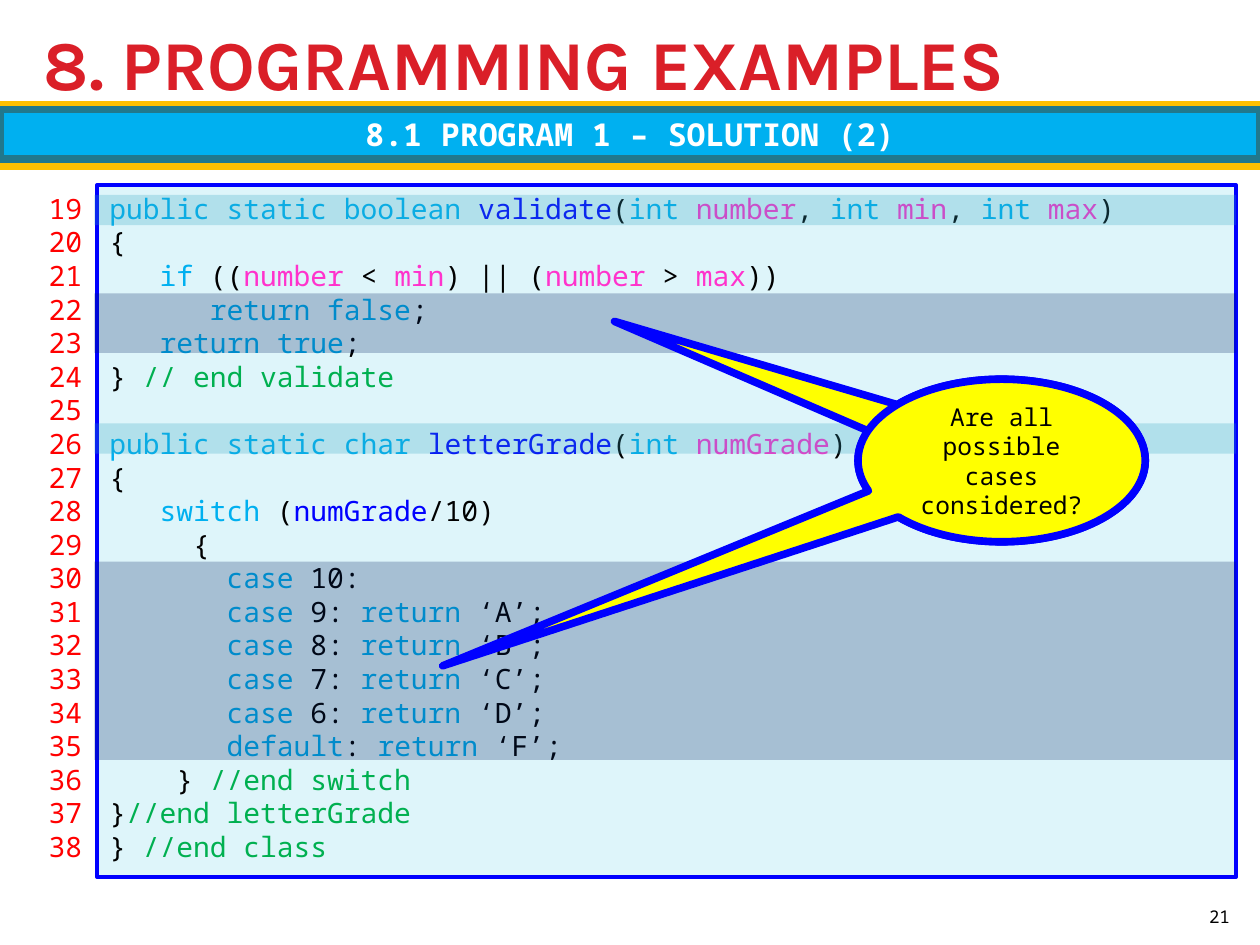
from dataclasses import dataclass
from itertools import groupby

from lxml import etree
from pptx import Presentation
from pptx.dml.color import RGBColor
from pptx.enum.shapes import MSO_CONNECTOR, MSO_SHAPE
from pptx.enum.text import MSO_ANCHOR, PP_ALIGN
from pptx.oxml.ns import qn
from pptx.util import Inches, Pt

RECT, CALLOUT = MSO_SHAPE.RECTANGLE, MSO_SHAPE.OVAL_CALLOUT
STRAIGHT = MSO_CONNECTOR.STRAIGHT
TOP, MIDDLE, BOTTOM = MSO_ANCHOR.TOP, MSO_ANCHOR.MIDDLE, MSO_ANCHOR.BOTTOM
LEFT, CENTER, RIGHT = PP_ALIGN.LEFT, PP_ALIGN.CENTER, PP_ALIGN.RIGHT


@dataclass(frozen=True)
class Theme:
    title_font: str = "Karla"
    mono: str = "Noto Sans Mono"
    title_size: float = 40
    banner_size: float = 18
    code_size: float = 16
    callout_size: float = 14
    page_size: float = 10
    leading: float = 1.2
    title: str = "DA1F28"
    rule: str = "FFC000"
    banner: str = "00B0F0"
    banner_edge: str = "21788D"
    panel: str = "DEF5FA"
    edge: str = "0000FF"
    line_number: str = "FF0000"
    signature_band: str = "2DA2BF"
    return_band: str = "002060"
    callout: str = "FFFF00"
    plain: str = "000000"
    white: str = "FFFFFF"
    keyword: str = "00B0F0"
    name: str = "0000FF"
    parameter: str = "FF33CC"
    comment: str = "00B050"


THEME = Theme()
ROW = THEME.code_size * THEME.leading / 72  # height of a code line, inches
INSET = 0.05

FIRST_LINE = 19
CODE = """\
public static boolean validate(int number, int min, int max)
{
   if ((number < min) || (number > max))
      return false;
   return true;
} // end validate

public static char letterGrade(int numGrade)
{
   switch (numGrade/10)
     {
       case 10:
       case 9: return ‘A’;
       case 8: return ‘B’;
       case 7: return ‘C’;
       case 6: return ‘D’;
       default: return ‘F’;
    } //end switch
}//end letterGrade
} //end class""".split("\n")
WORD_COLORS = {
    **dict.fromkeys("public static boolean char int if return true false "
                    "switch case default".split(), THEME.keyword),
    **dict.fromkeys(["validate", "letterGrade"], THEME.name),
    **dict.fromkeys(["number", "min", "max", "numGrade"], THEME.parameter),
}
# Highlights over the code: first row, rows covered, colour
BANDS = [(0.1, 0.9, THEME.signature_band), (6.9, 0.9, THEME.signature_band),
         (3.03, 1.77, THEME.return_band), (11.02, 5.9, THEME.return_band)]
QUESTION = "Are all possible cases considered?"
POINTERS = [(-1.348, -0.856), (-1.946, 1.263)]


def rgb(value):
    return RGBColor.from_string(value)


def add_box(slide, box, fill, line=None, width=0, kind=RECT):
    shape = slide.shapes.add_shape(kind, *map(Inches, box))
    shape.shadow.inherit = False
    shape.fill.solid()
    shape.fill.fore_color.rgb = rgb(fill)
    if line:
        shape.line.color.rgb = rgb(line)
        shape.line.width = Pt(width)
    else:
        shape.line.fill.background()
    return shape


def write(shape, lines, size, font=THEME.mono, bold=False, align=LEFT,
          anchor=MIDDLE, leading=None):
    """Write lines, each a list of (text, colour) runs."""
    frame = shape.text_frame
    for key, value in {"word_wrap": True, "vertical_anchor": anchor}.items():
        setattr(frame, key, value)
    for number, runs in enumerate(lines):
        paragraph = frame.add_paragraph() if number else frame.paragraphs[0]
        paragraph.alignment = align
        if leading:
            paragraph.line_spacing = Pt(size * leading)
        paragraph.font.size = Pt(size)
        for text, color in runs:
            run = paragraph.add_run()
            run.text = text
            style = {"name": font, "size": Pt(size), "bold": bold}
            for key, value in style.items():
                setattr(run.font, key, value)
            run.font.color.rgb = rgb(color)


def add_text(slide, box, *args, **kwargs):
    write(slide.shapes.add_textbox(*map(Inches, box)), *args, **kwargs)


def color_code(line):
    """Split a code line into coloured runs; a space joins the run before it."""
    code, slashes, remark = line.partition("//")
    tokens, color = [], THEME.plain
    for _, group in groupby(code, lambda c: (c.isalnum(), c.isspace())):
        token = "".join(group)
        if not token.isspace():
            color = WORD_COLORS.get(token, THEME.plain)
            if "switch" in code and color == THEME.parameter:
                color = THEME.name
        tokens.append((token, color))
    if slashes:
        tokens.append((slashes + remark, THEME.comment))
    return [("".join(text for text, _ in run), color)
            for color, run in groupby(tokens, lambda token: token[1])]


def add_header(slide, box):
    left, top, width, height = box
    # Title
    add_text(slide, (left + 0.25, top + 0.17, width - 0.53, 0.65),
             [[("8. PROGRAMMING EXAMPLES", THEME.title)]], THEME.title_size,
             font=THEME.title_font, bold=True)
    # Rules above and below the banner
    for y in (top + 0.84, top + height):
        rule = slide.shapes.add_connector(
            STRAIGHT, *map(Inches, (left, y, left + width, y)))
        rule.line.color.rgb = rgb(THEME.rule)
        rule.line.width = Pt(6)
        etree.SubElement(rule._element.spPr, qn("a:effectLst"))
    # Banner
    banner = add_box(slide, (left, top + 0.87, width, 0.39), THEME.banner,
                     THEME.banner_edge, 4.33)
    write(banner, [[("8.1 PROGRAM 1 – SOLUTION (2)", THEME.white)]],
          THEME.banner_size, bold=True, align=CENTER)


def add_listing(slide, box):
    left, top, width, height = box
    gutter = 0.55
    panel_left = left + gutter + 0.02
    # Code panel
    panel = add_box(slide, (panel_left, top, left + width - panel_left, height),
                    THEME.panel, THEME.edge, 2.25)
    write(panel, map(color_code, CODE), THEME.code_size, anchor=TOP,
          leading=THEME.leading)
    # Line numbers
    numbers = [[(str(FIRST_LINE + row), THEME.line_number)]
               for row in range(len(CODE))]
    add_text(slide, (left, top, gutter, height), numbers, THEME.code_size,
             align=RIGHT, anchor=TOP, leading=THEME.leading)
    # Translucent highlights
    for row, count, color in BANDS:
        band = add_box(slide, (left + gutter, top + INSET + row * ROW,
                               width - gutter, count * ROW), color)
        tint = band.fill._xPr.find(".//" + qn("a:srgbClr"))
        etree.SubElement(tint, qn("a:alpha"), val="25000")


def add_question(slide, box):
    # One balloon for each place it points at
    for pointer in POINTERS:
        balloon = add_box(slide, box, THEME.callout, THEME.edge, 4.33, CALLOUT)
        for index, offset in enumerate(pointer):
            balloon.adjustments[index] = offset
        write(balloon, [[(QUESTION, THEME.plain)]], THEME.callout_size,
              align=CENTER, leading=THEME.leading)


def main():
    deck = Presentation()
    deck.slide_width, deck.slide_height = Inches(10), Inches(7.5)
    slide = deck.slides.add_slide(deck.slide_layouts[6])
    add_header(slide, (0, 0, 10, 1.31))
    add_listing(slide, (0.2, 1.47, 9.61, 5.49))
    add_question(slide, (6.81, 3.01, 2.28, 1.29))
    # Page number
    add_text(slide, (9.46, 7.01, 0.4, 0.4), [[("21", THEME.plain)]],
             THEME.page_size, align=RIGHT, anchor=BOTTOM)
    deck.save("out.pptx")


if __name__ == "__main__":
    main()
